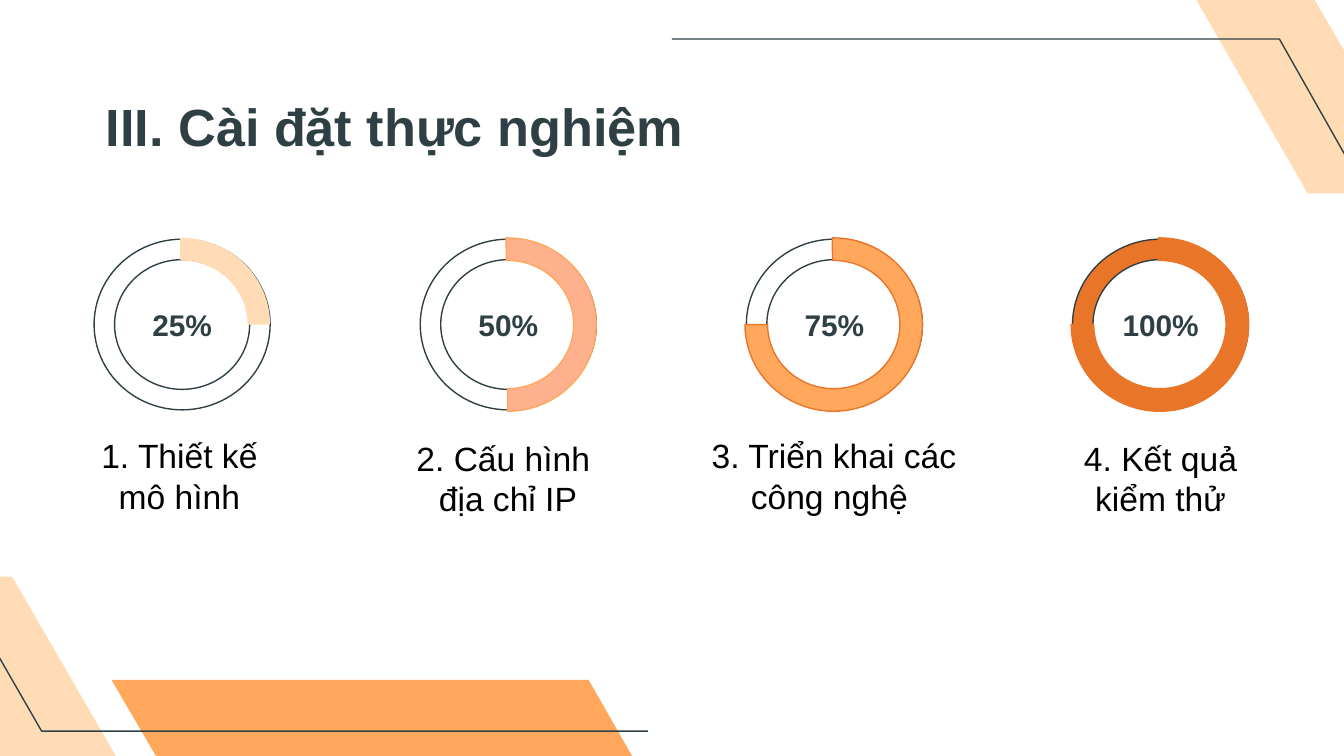
"""Slide with four progress rings for the steps of an experimental setup."""
from pptx import Presentation
from pptx.dml.color import RGBColor
from pptx.enum.shapes import MSO_SHAPE as Preset
from pptx.enum.text import MSO_ANCHOR as Anchor, MSO_AUTO_SIZE as AutoSize, PP_ALIGN as Align
from pptx.util import Inches, Pt

COLORS = {
    "ink": "2F4044",
    "black": "000000",
    "peach": "FFDCB6",
    "salmon": "FFB18D",
    "orange": "FFA85C",
    "rust": "E97529",
}


def paint(shape, fill=None, line=None):
    shape.shadow.inherit = False
    if fill:
        shape.fill.solid()
        shape.fill.fore_color.rgb = RGBColor.from_string(COLORS[fill])
    else:
        shape.fill.background()
    if line:
        shape.line.color.rgb = RGBColor.from_string(COLORS[line])
        shape.line.width = Pt(0.75)
    else:
        shape.line.fill.background()


def add_text(text, box, size=18, color="black", bold=False, align=Align.CENTER,
             anchor=Anchor.TOP, top=0.05, bottom=0.05, fit=AutoSize.NONE):
    frame = slide.shapes.add_textbox(*map(Inches, box)).text_frame
    frame.word_wrap = True
    frame.auto_size = fit
    frame.vertical_anchor = anchor
    frame.margin_left = frame.margin_right = Inches(0.1)
    frame.margin_top, frame.margin_bottom = Inches(top), Inches(bottom)
    frame.text = text
    for paragraph in frame.paragraphs:
        paragraph.alignment = align
        for run in paragraph.runs:
            run.font.name = "Arial"
            run.font.size = Pt(size)
            run.font.bold = bold
            run.font.color.rgb = RGBColor.from_string(COLORS[color])


prs = Presentation()
prs.slide_width = Inches(10)
prs.slide_height = Inches(10) * 9 // 16
slide = prs.slides.add_slide(prs.slide_layouts[6])

decorations = [
    ([(0.83, 5.06), (4.38, 5.06), (4.82, 5.83), (1.28, 5.83)], "orange", None),
    ([(-0.8, 4.29), (0.09, 4.29), (0.98, 5.83), (0.09, 5.83)], "peach", None),
    ([(4.82, 5.44), (0.31, 5.44), (-0.61, 3.84)], None, "ink"),
    ([(8.85, -0.09), (9.73, -0.09), (10.62, 1.44), (9.73, 1.44)], "peach", None),
    ([(5, 0.29), (9.52, 0.29), (10.43, 1.9)], None, "ink"),
]
for points, fill, line in decorations:
    corners = [(Inches(x), Inches(y)) for x, y in points]
    outline = slide.shapes.build_freeform(*corners[0])
    outline.add_line_segments(corners[1:], close=fill is not None)
    paint(outline.convert_to_shape(), fill, line)

add_text("III. Cài đặt thực nghiệm", (0.69, 0.7, 4.64, 0.57), size=28, color="ink",
         bold=True, align=Align.LEFT, top=0, bottom=0.1)

steps = [
    ("25%", 0.25, None, "peach", None, "1. Thiết kế mô hình", (0.56, 3.19, 1.55, 0.71)),
    ("50%", 0.5, None, "salmon", "orange", "2. Cấu hình \nđịa chỉ IP", (2.76, 3.21, 2.04, 0.71)),
    ("75%", 0.75, None, "orange", "rust", "3. Triển khai các công nghệ ", (5.1, 3.19, 2.21, 0.71)),
    ("100%", 0.75, "rust", "rust", "rust", "4. Kết quả kiểm thử", (7.83, 3.21, 1.61, 0.71)),
]
DEGREE = 0.6
for index, (percent, sweep, ring_fill, arc_fill, arc_line, caption, caption_box) in enumerate(steps):
    left = 0.7 + 7.28 * index / 3
    ring = slide.shapes.add_shape(
        Preset.DONUT, Inches(left), Inches(1.78), Inches(1.31), Inches(1.27))
    ring.adjustments[0] = 0.12
    paint(ring, ring_fill, "ink")

    arc = slide.shapes.add_shape(
        Preset.BLOCK_ARC, Inches(left - 0.01), Inches(1.77), Inches(1.32), Inches(1.29))
    arc.adjustments[0] = 269 * DEGREE
    arc.adjustments[1] = (360 * sweep - 90) * DEGREE
    arc.adjustments[2] = 0.13
    paint(arc, arc_fill, arc_line)

    add_text(percent, (left + 0.26, 2.23, 0.79, 0.37), size=16, color="ink", bold=True,
             anchor=Anchor.MIDDLE, top=0.1, bottom=0.1)
    add_text(caption, caption_box, fit=AutoSize.SHAPE_TO_FIT_TEXT)

prs.save("out.pptx")
